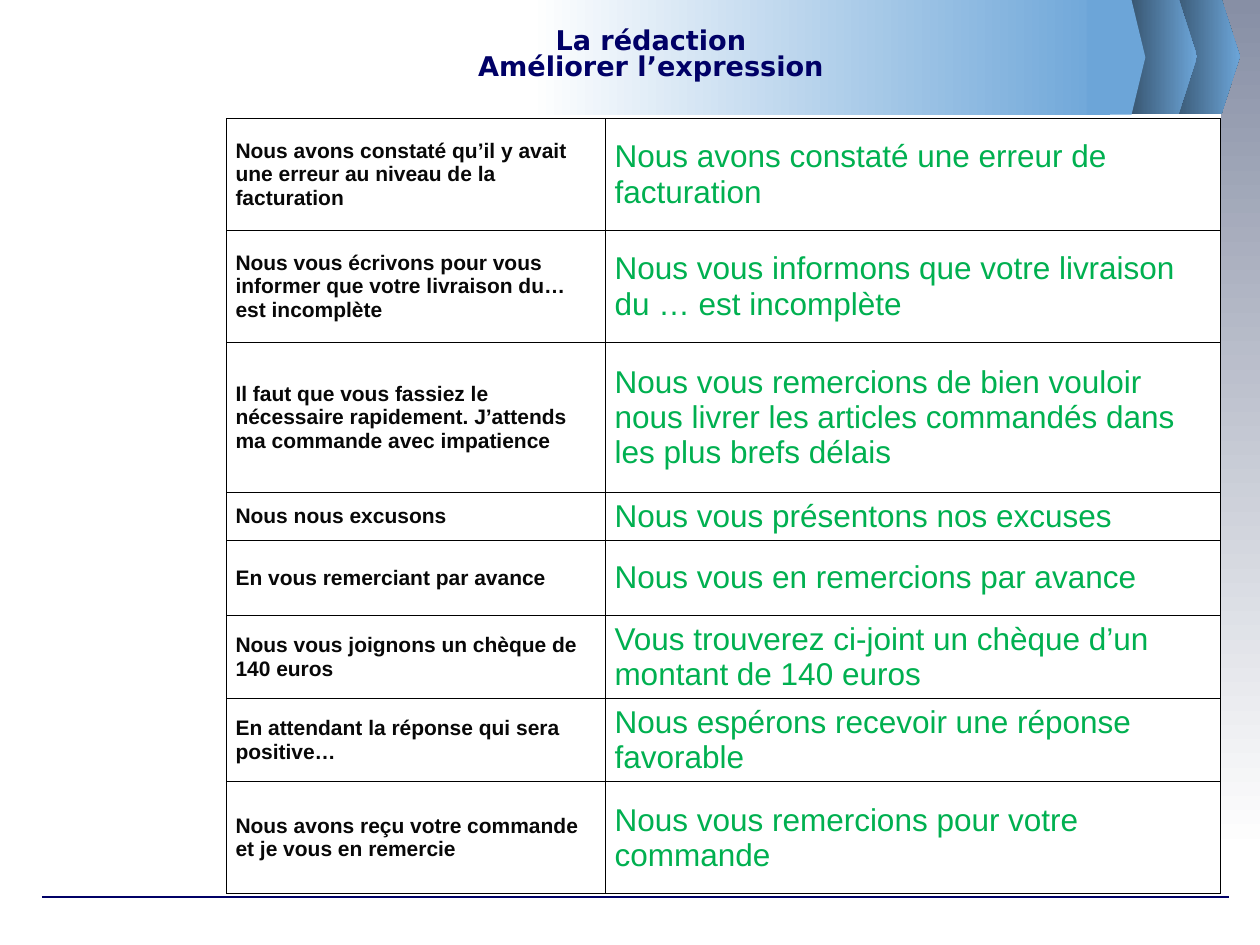
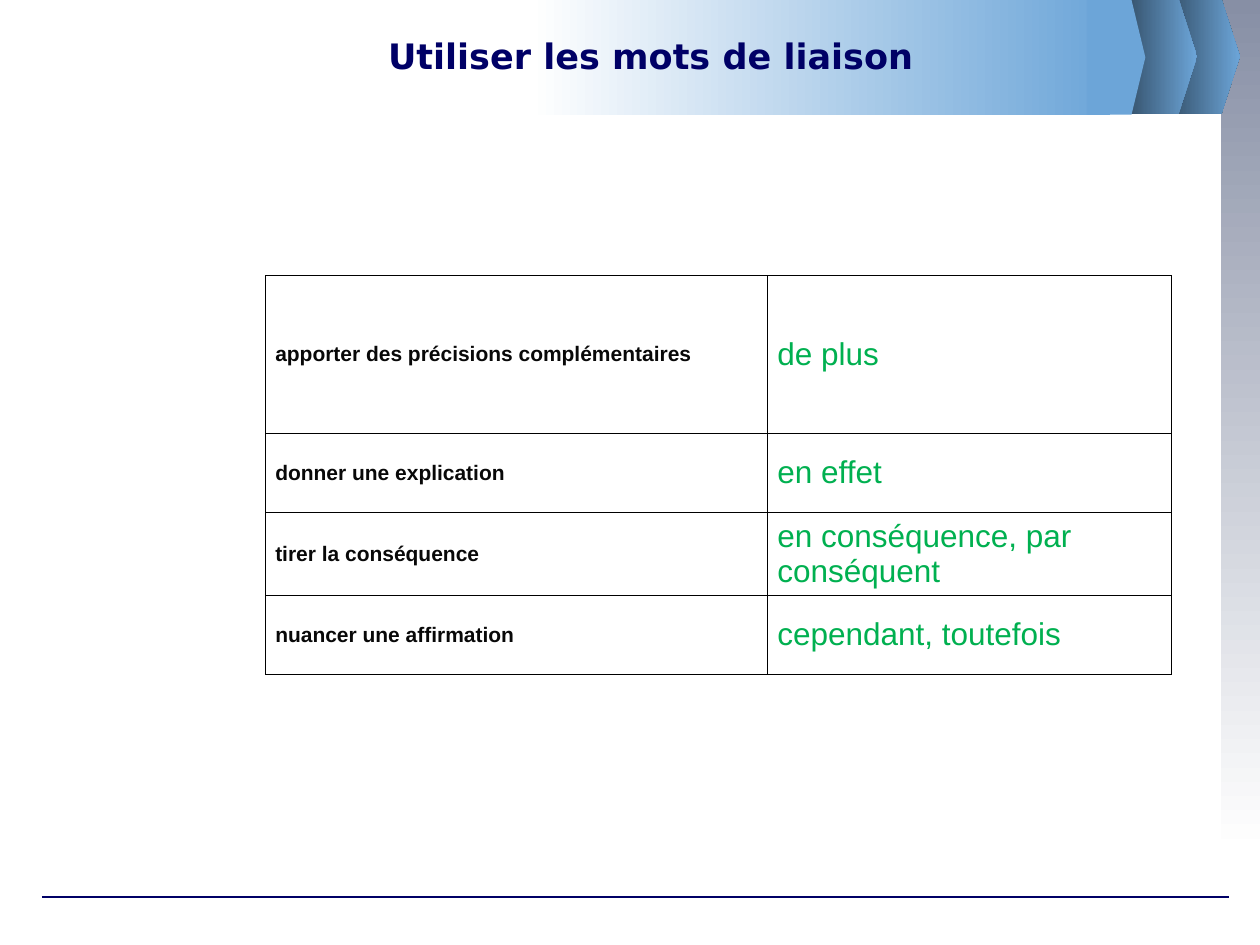
from copy import deepcopy

from lxml import etree
from pptx import Presentation
from pptx.dml.color import RGBColor
from pptx.enum.shapes import MSO_CONNECTOR, MSO_SHAPE
from pptx.enum.text import MSO_ANCHOR, MSO_AUTO_SIZE, PP_ALIGN
from pptx.oxml.ns import qn
from pptx.util import Pt

RECT = MSO_SHAPE.RECTANGLE
LINE = MSO_CONNECTOR.STRAIGHT
MID = MSO_ANCHOR.MIDDLE
FIXED = MSO_AUTO_SIZE.NONE
LEFT, CENTER = PP_ALIGN.LEFT, PP_ALIGN.CENTER

NAVY, BLUE, STEEL = "000066", "6CA5D8", "324C64"
GRAY, WHITE, BLACK = "878FA5", "FFFFFF", "000000"
INK, GREEN = "080808", "00B050"
HEAD, BODY = "DejaVu Sans", "Arial"

TITLE = (90, 8.6, 563.8, 46.8)

LETTER = [
    (64, "Nous avons constaté qu’il y avait une erreur au niveau de la facturation",
     "Nous avons constaté une erreur de facturation"),
    (64, "Nous vous écrivons pour vous informer que votre livraison du… est incomplète",
     "Nous vous informons que votre livraison du … est incomplète"),
    (85.7, "Il faut que vous fassiez le nécessaire rapidement. J’attends ma commande avec impatience",
     "Nous vous remercions de bien vouloir nous livrer les articles commandés dans les plus brefs délais"),
    (21.4, "Nous nous excusons", "Nous vous présentons nos excuses"),
    (42.9, "En vous remerciant par avance", "Nous vous en remercions par avance"),
    (43, "Nous vous joignons un chèque de 140 euros",
     "Vous trouverez ci-joint un chèque d’un montant de 140 euros"),
    (43, "En attendant la réponse qui sera positive…",
     "Nous espérons recevoir une réponse favorable"),
    (64, "Nous avons reçu votre commande et je vous en remercie",
     "Nous vous remercions pour votre commande"),
]
LINKS = [
    (90.3, "apporter des précisions complémentaires", "de plus"),
    (45.1, "donner une explication", "en effet"),
    (44.6, "tirer la conséquence", "en conséquence, par conséquent"),
    (45.1, "nuancer une affirmation", "cependant, toutefois"),
]


def color(code):
    return RGBColor.from_string(code)


def write(frame, text, size, code, font=BODY, bold=False, align=LEFT, space=None):
    par = frame.paragraphs[0]
    par.text = text
    par.alignment = align
    par.line_spacing = space
    for run in par.runs:
        run.font.size = Pt(size)
        run.font.name = font
        run.font.bold = bold
        run.font.color.rgb = color(code)


def paint(shape, codes, angle=0):
    shape.shadow.inherit = False
    shape.line.fill.background()
    if len(codes) == 1:
        shape.fill.solid()
        shape.fill.fore_color.rgb = color(codes[0])
        return
    shape.fill.gradient()
    shape.fill.gradient_angle = angle
    for stop, code in zip(shape.fill.gradient_stops, codes):
        stop.color.rgb = color(code)


def block(slide, box, codes, angle=0):
    shape = slide.shapes.add_shape(RECT, *map(Pt, box))
    paint(shape, codes, angle)


def arrow(slide, box, neck, codes):
    left, top, width, height = box
    spots = [(left + neck, top), (left + width, top + height / 2),
             (left + neck, top + height), (left, top + height)]
    path = slide.shapes.build_freeform(Pt(left), Pt(top))
    path.add_line_segments([(Pt(x), Pt(y)) for x, y in spots])
    paint(path.convert_to_shape(), codes)


def rule(slide, left, right, top):
    line = slide.shapes.add_connector(LINE, Pt(left), Pt(top), Pt(right), Pt(top))
    line.line.color.rgb = color(NAVY)
    line.line.width = Pt(0.75)
    etree.SubElement(line.element.spPr, qn("a:effectLst"))


def frame_master(deck, slide):
    block(slide, (697.7, 0, 22.3, 487.4), (GRAY, WHITE), 270)
    rule(slide, 24, 702, 512.6)
    for left in (666, 641.5):
        arrow(slide, (left, -0.5, 42.5, 65.5), 32, (STEEL, BLUE))
    block(slide, (303.1, 0, 331.2, 65.5), (WHITE, BLUE))
    arrow(slide, (621.4, 0, 33.1, 65.5), 25.2, (BLUE,))
    tree = deck.slide_master.shapes.element
    parts = [shape for shape in slide.shapes if not shape.is_placeholder]
    for spot, part in enumerate(parts):
        part.element.xpath(".//p:cNvPr")[0].set("id", str(100 + spot))
        tree.insert(2 + spot, part.element)


def head(slide, text, size, space=None):
    title = slide.shapes.title
    title.left, title.top, title.width, title.height = map(Pt, TITLE)
    frame = title.text_frame
    frame.word_wrap = True
    frame.auto_size = FIXED
    frame.vertical_anchor = MID
    write(frame, text, size, NAVY, font=HEAD, bold=True, align=CENTER, space=space)
    look = next(title.element.iter(qn("a:rPr")))
    for gap in title.element.iter(qn("a:br")):
        gap.append(deepcopy(look))


def edge(cell):
    props = cell._tc.get_or_add_tcPr()
    for side in "LRTB":
        line = etree.SubElement(props, qn(f"a:ln{side}"), w=str(Pt(0.45)))
        fill = etree.SubElement(line, qn("a:solidFill"))
        etree.SubElement(fill, qn("a:srgbClr"), val=BLACK)


def grid(slide, left, top, cols, rows, inset):
    high = sum(row[0] for row in rows)
    table = slide.shapes.add_table(
        len(rows), len(cols), Pt(left), Pt(top), Pt(sum(cols)), Pt(high)).table
    table.first_row = table.horz_banding = False
    for col, width in zip(table.columns, cols):
        col.width = Pt(width)
    for line, (height, *texts) in zip(table.rows, rows):
        line.height = Pt(height)
        for cell, text, size, code, bold in zip(
                line.cells, texts, (12, 18), (INK, GREEN), (True, False)):
            edge(cell)
            cell.fill.background()
            cell.vertical_anchor = MID
            cell.margin_left = cell.margin_right = Pt(inset)
            cell.margin_top = cell.margin_bottom = Pt(3.6)
            write(cell.text_frame, text, size, code, bold=bold)


def main():
    deck = Presentation()
    deck.slide_width, deck.slide_height = Pt(720), Pt(540)
    first, second = [deck.slides.add_slide(deck.slide_layouts[5]) for _ in range(2)]
    frame_master(deck, first)
    head(first, "La rédaction\vAméliorer l’expression", 15.5, space=0.8)
    grid(first, 129.4, 67.7, (216.6, 351.4), LETTER, 5.2)
    head(second, "Utiliser les mots de liaison", 20)
    grid(second, 151.7, 157.4, (286.9, 230.8), LINKS, 5.6)
    deck.save("out.pptx")


if __name__ == "__main__":
    main()
